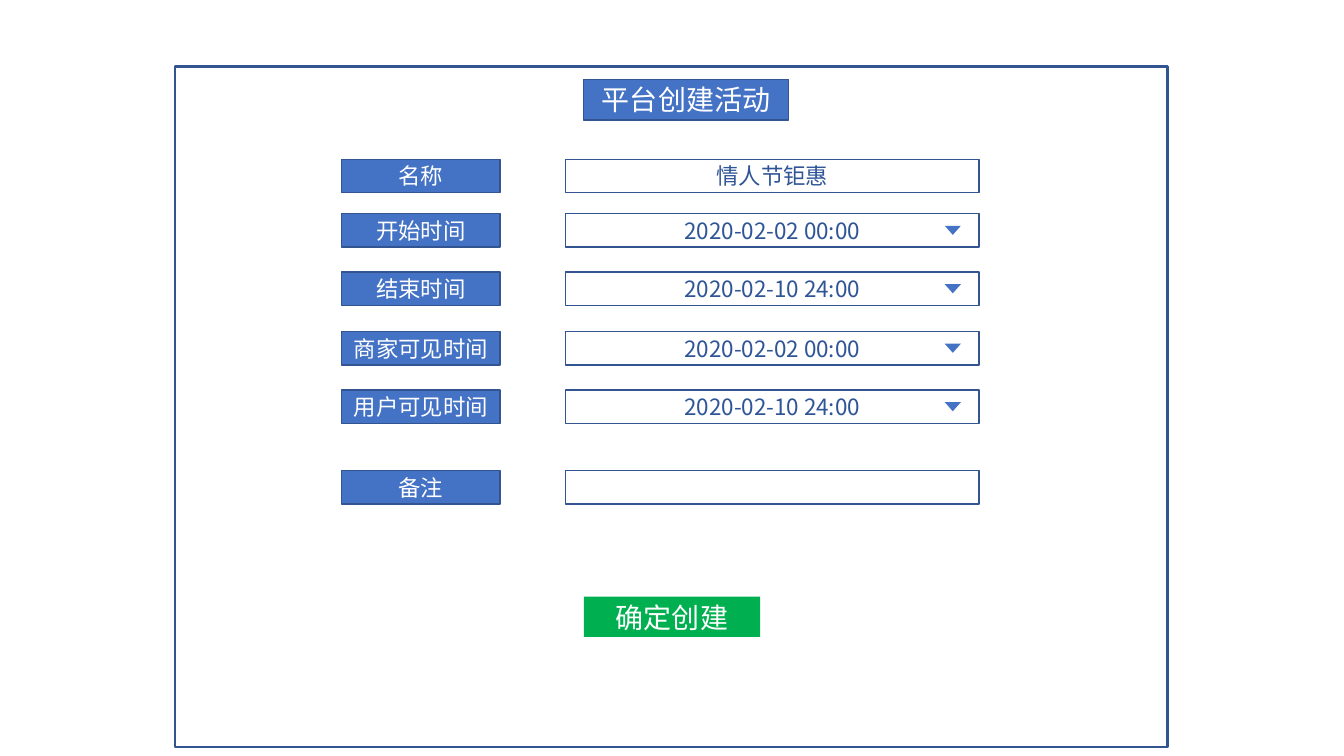
from dataclasses import dataclass
from typing import Optional

from lxml import etree
from pptx import Presentation
from pptx.dml.color import RGBColor
from pptx.enum import shapes, text
from pptx.oxml import ns
from pptx.util import Inches, Pt

FONT = "Noto Sans CJK SC"
COLOURS = {
    "label": "4472C4",
    "border": "325491",
    "value": "2F5597",
    "confirm": "00B050",
    "white": "FFFFFF",
}
LABEL_LEFT, LABEL_WIDTH = 3.39, 1.57
FIELD_LEFT, FIELD_WIDTH = 5.61, 4.1
ROW_HEIGHT = 0.33
ARROW_LEFT, ARROW_DROP = 9.37, 0.12
ARROW_WIDTH, ARROW_HEIGHT = 0.16, 0.09


@dataclass
class FormRow:
    top: float
    label: str
    value: str = ""
    dropdown: bool = False


FORM_ROWS = [
    FormRow(1.58, "名称", "情人节钜惠"),
    FormRow(2.12, "开始时间", "2020-02-02 00:00", True),
    FormRow(2.7, "结束时间", "2020-02-10 24:00", True),
    FormRow(3.29, "商家可见时间", "2020-02-02 00:00", True),
    FormRow(3.87, "用户可见时间", "2020-02-10 24:00", True),
    FormRow(4.67, "备注"),
]


def colour(name: str) -> RGBColor:
    return RGBColor.from_string(COLOURS[name])


def paint(shape, fill: Optional[str] = None, line: Optional[str] = None,
          line_width: float = 1) -> None:
    if fill:
        shape.fill.solid()
        shape.fill.fore_color.rgb = colour(fill)
    else:
        shape.fill.background()
    if line:
        shape.line.color.rgb = colour(line)
        shape.line.width = Pt(line_width)
    else:
        shape.line.fill.background()


def write(shape, wording: str, *, size: float = 16, font_colour: str = "white") -> None:
    frame = shape.text_frame
    frame.word_wrap = True
    frame.auto_size = text.MSO_AUTO_SIZE.NONE
    frame.vertical_anchor = text.MSO_ANCHOR.MIDDLE
    paragraph = frame.paragraphs[0]
    paragraph.alignment = text.PP_ALIGN.CENTER
    run = paragraph.add_run()
    run.text = wording
    run.font.size = Pt(size)
    run.font.color.rgb = colour(font_colour)
    run.font.name = FONT
    # Chinese characters take their font from the East Asian setting
    etree.SubElement(run.font._element, ns.qn("a:ea"), typeface=FONT)


def add_box(slide, left: float, top: float, width: float, height: float, *,
            kind=shapes.MSO_SHAPE.RECTANGLE, fill: Optional[str] = None,
            line: Optional[str] = None, line_width: float = 1):
    shape = slide.shapes.add_shape(
        kind, Inches(left), Inches(top), Inches(width), Inches(height))
    shape.shadow.inherit = False
    paint(shape, fill, line, line_width)
    return shape


def add_title(slide) -> None:
    title = slide.shapes.title
    title.left, title.top = Inches(5.79), Inches(0.79)
    title.width, title.height = Inches(2.03), Inches(0.4)
    paint(title, "label", "border")
    write(title, "平台创建活动", size=20)


def add_form_row(slide, row: FormRow) -> None:
    label = add_box(slide, LABEL_LEFT, row.top, LABEL_WIDTH, ROW_HEIGHT,
                    fill="label", line="border")
    write(label, row.label)
    field = add_box(slide, FIELD_LEFT, row.top, FIELD_WIDTH, ROW_HEIGHT, line="border")
    if row.value:
        write(field, row.value, font_colour="value")
    if row.dropdown:
        arrow = add_box(slide, ARROW_LEFT, row.top + ARROW_DROP, ARROW_WIDTH, ARROW_HEIGHT,
                        kind=shapes.MSO_SHAPE.ISOSCELES_TRIANGLE, fill="label")
        arrow.rotation = 180


def main() -> None:
    presentation = Presentation()
    presentation.slide_width = Inches(13.33)
    presentation.slide_height = Inches(7.5)
    slide = presentation.slides.add_slide(presentation.slide_layouts[5])

    # Window frame and heading
    add_box(slide, 1.74, 0.66, 9.84, 6.75, line="border", line_width=1.5)
    add_title(slide)

    # Form fields
    for row in FORM_ROWS:
        add_form_row(slide, row)

    # Confirm button
    button = add_box(slide, 5.79, 5.92, 1.75, 0.4, fill="confirm")
    write(button, "确定创建", size=20)

    presentation.save("out.pptx")


if __name__ == "__main__":
    main()
